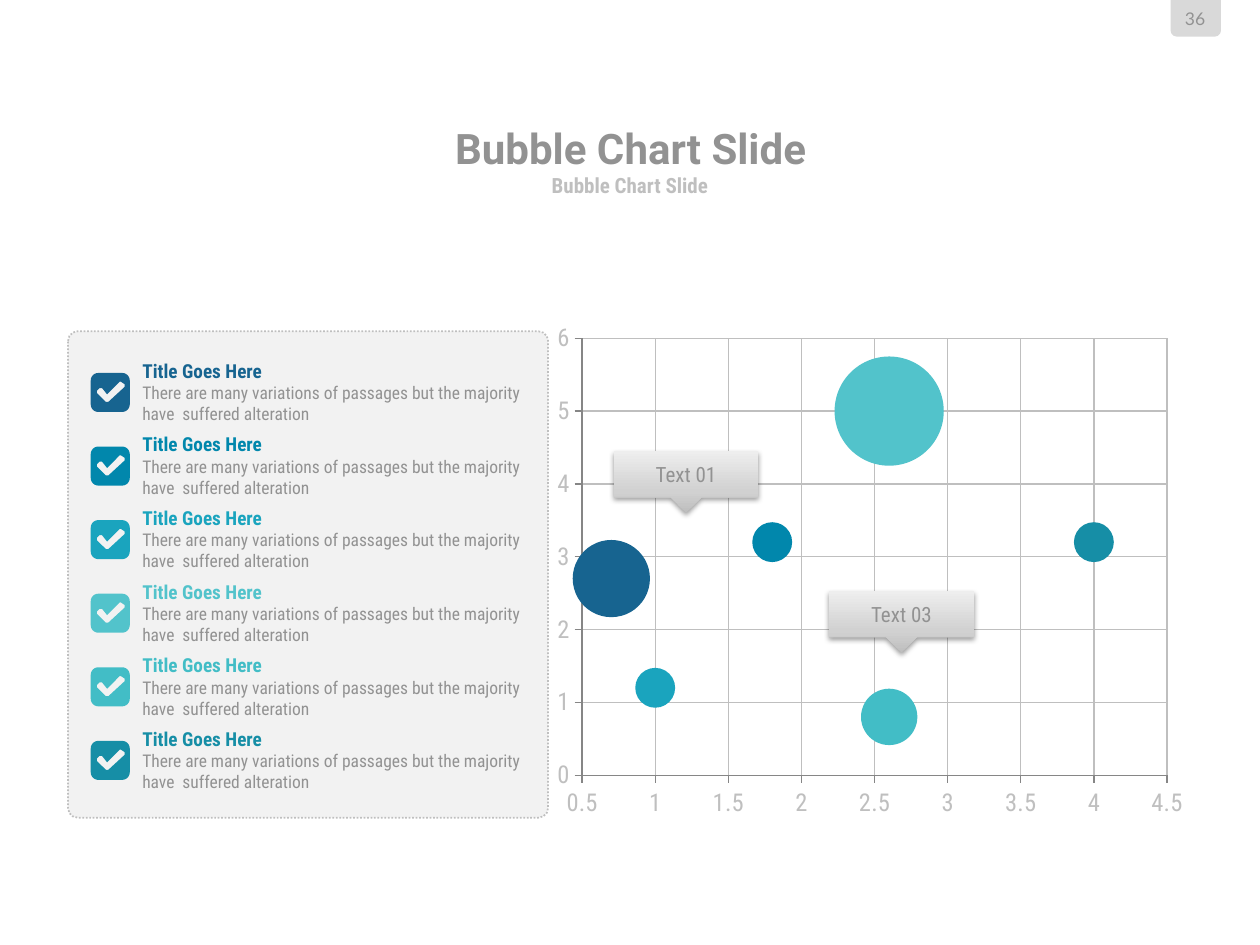
from copy import deepcopy
from math import cos, radians, sin

from lxml import etree
from pptx import Presentation
from pptx.chart.data import BubbleChartData
from pptx.dml.color import RGBColor
from pptx.enum.chart import XL_CHART_TYPE, XL_TICK_MARK
from pptx.enum.dml import MSO_LINE
from pptx.enum.shapes import MSO_SHAPE
from pptx.enum.text import MSO_ANCHOR, MSO_AUTO_SIZE, PP_ALIGN
from pptx.oxml import parse_xml
from pptx.oxml.ns import nsdecls, qn
from pptx.util import Inches, Pt

BUBBLE = XL_CHART_TYPE.BUBBLE
OUTSIDE = XL_TICK_MARK.OUTSIDE
DOTTED = MSO_LINE.ROUND_DOT
ROUND = MSO_SHAPE.ROUNDED_RECTANGLE
TAB = MSO_SHAPE.ROUND_2_SAME_RECTANGLE
CALLOUT = MSO_SHAPE.DOWN_ARROW_CALLOUT
MIDDLE, TOP = MSO_ANCHOR.MIDDLE, MSO_ANCHOR.TOP
CENTER, LEFT = PP_ALIGN.CENTER, PP_ALIGN.LEFT
FIXED = MSO_AUTO_SIZE.NONE

GRAY = RGBColor(0x92, 0x92, 0x92)
SILVER = RGBColor(0xBF, 0xBF, 0xBF)
AXIS = RGBColor(0x86, 0x86, 0x86)
PALE = RGBColor(0xF2, 0xF2, 0xF2)
TAB_GRAY = RGBColor(0xD9, 0xD9, 0xD9)
SHADES = [(0, RGBColor(0xBE, 0xBE, 0xBE)),
          (0.35, RGBColor(0xD1, 0xD1, 0xD1)),
          (1, RGBColor(0xEE, 0xEE, 0xEE))]
NAVY = RGBColor(0x17, 0x64, 0x90)
BLUE = RGBColor(0x01, 0x87, 0xAC)
CYAN = RGBColor(0x1A, 0xA4, 0xBE)
AQUA = RGBColor(0x52, 0xC3, 0xCB)
MINT = RGBColor(0x42, 0xBD, 0xC6)
TEAL = RGBColor(0x16, 0x8E, 0xA6)
CONDENSED = "Roboto Condensed"


def write(frame, text, size, color=GRAY, font=CONDENSED, bold=False, align=CENTER):
    """Add a run to the first paragraph of the frame."""
    para = frame.paragraphs[0]
    para.alignment = align
    para.space_before = Pt(0)
    run = para.add_run()
    run.text = text
    run.font.size = Pt(size)
    run.font.name = font
    run.font.bold = bold
    run.font.color.rgb = color


def trim(frame, anchor=MIDDLE, wrap=True):
    """Remove the margins and set how the text sits."""
    frame.margin_left = frame.margin_right = 0
    frame.margin_top = frame.margin_bottom = 0
    frame.auto_size = FIXED
    frame.vertical_anchor = anchor
    frame.word_wrap = wrap


prs = Presentation()
prs.slide_width, prs.slide_height = Inches(10), Inches(7.5)
slide = prs.slides.add_slide(prs.slide_layouts[1])
shapes = slide.shapes

# Page number
tab = shapes.add_shape(TAB, Inches(9.29), 0, Inches(0.4), Inches(0.29))
tab.rotation = 180
tab.shadow.inherit = False
tab.fill.solid()
tab.fill.fore_color.rgb = TAB_GRAY
tab.line.fill.background()
page = shapes.add_textbox(Inches(9.32), Inches(0.06), Inches(0.33), Inches(0.17))
trim(page.text_frame)
write(page.text_frame, "36", 10, font="Lato")

# Headings
title, body = shapes.title, slide.placeholders[1]
for holder, left, top, width, height in [(title, 1.92, 0.98, 6.17, 0.39),
                                         (body, 2.75, 1.36, 4.5, 0.22)]:
    holder.left, holder.top = Inches(left), Inches(top)
    holder.width, holder.height = Inches(width), Inches(height)
    trim(holder.text_frame, wrap=False)
props = body.text_frame.paragraphs[0]._p.get_or_add_pPr()
props.set("marL", "0")
props.set("indent", "0")
etree.SubElement(props, qn("a:buNone"))
write(title.text_frame, "Bubble Chart Slide", 24, font="Roboto", bold=True)
write(body.text_frame, "Bubble Chart Slide", 12, SILVER, bold=True)

# Bubble chart
data = BubbleChartData()
series = data.add_series("Series 1")
bubbles = [(0.7, 2.7, 15, NAVY), (1.8, 3.2, 4, BLUE), (2.6, 0.8, 8, MINT),
           (2.6, 5, 30, AQUA), (4, 3.2, 4, TEAL), (1, 1.2, 4, CYAN)]
for x, y, size, color in bubbles:
    series.add_data_point(x, y, size)
chart = shapes.add_chart(BUBBLE, Inches(4.32), Inches(2.48),
                         Inches(5.17), Inches(4.1), data).chart
chart.has_legend = chart.has_title = False
chart.font.size, chart.font.name = Pt(14), CONDENSED
chart.font.color.rgb = SILVER
drawn = chart.plots[0].series[0]
drawn.format.fill.solid()
drawn.format.fill.fore_color.rgb = NAVY
for i, bubble in enumerate(bubbles):
    look = drawn.points[i].format
    look.fill.solid()
    look.fill.fore_color.rgb = bubble[3]
    look.line.fill.background()
for axis, low, high, unit in [(chart.category_axis, 0.5, 4.5, 0.5),
                              (chart.value_axis, 0, 6, 1)]:
    axis.minimum_scale, axis.maximum_scale, axis.major_unit = low, high, unit
    axis.major_tick_mark = OUTSIDE
    axis.has_major_gridlines = True
    axis.tick_labels.number_format = "General"
    axis.tick_labels.number_format_is_linked = False
    for line, color in [(axis.format.line, AXIS),
                        (axis.major_gridlines.format.line, SILVER)]:
        line.color.rgb = color
        line.width = Pt(0.75)
area = chart._chartSpace.chart.plotArea
for old in area.findall(qn("c:layout")):
    area.remove(old)
area.insert(0, parse_xml(
    f'<c:layout {nsdecls("c")}><c:manualLayout><c:layoutTarget val="inner"/>'
    '<c:xMode val="edge"/><c:yMode val="edge"/><c:x val="0.058"/><c:y val="0.05"/>'
    '<c:w val="0.898"/><c:h val="0.846"/></c:manualLayout></c:layout>'))

# Callouts over the chart
for left, top, label in [(4.87, 3.58, "Text 01"), (6.58, 4.69, "Text 03")]:
    box = shapes.add_shape(CALLOUT, Inches(left), Inches(top), Inches(1.15), Inches(0.49))
    for i, value in enumerate([0.25, 0.25, 0.25, 0.75]):
        box.adjustments[i] = value
    box.line.fill.background()
    box.fill.gradient()
    box.fill.gradient_angle = 90
    stops = box.element.spPr.find(".//" + qn("a:gsLst"))
    stops.insert(1, deepcopy(stops[0]))
    for stop, (place, color) in zip(box.fill.gradient_stops, SHADES):
        stop.position = place
        stop.color.rgb = color
    box.shadow.inherit = False
    box.element.spPr.find(qn("a:effectLst")).append(parse_xml(
        f'<a:outerShdw {nsdecls("a")} blurRad="39370" dist="20320" dir="5400000" '
        'rotWithShape="0"><a:srgbClr val="000000"><a:alpha val="38000"/>'
        '</a:srgbClr></a:outerShdw>'))
    box.text_frame.vertical_anchor = MIDDLE
    write(box.text_frame, label, 12)

# Checklist panel
panel = shapes.add_shape(ROUND, Inches(0.54), Inches(2.63), Inches(3.81), Inches(3.86))
panel.adjustments[0] = 0.02
panel.shadow.inherit = False
panel.fill.solid()
panel.fill.fore_color.rgb = PALE
panel.line.color.rgb = SILVER
panel.line.width = Pt(1)
panel.line.dash_style = DOTTED

SIDE, CURVE, PITCH = 0.31, 0.06, 0.584
edge = []
for turn, (x, y) in enumerate([(1, 1), (0, 1), (0, 0), (1, 0)]):
    for step in range(7):
        angle = radians(90 * turn + 15 * step)
        edge.append((CURVE + x * (SIDE - 2 * CURVE) + CURVE * cos(angle),
                     CURVE + y * (SIDE - 2 * CURVE) + CURVE * sin(angle)))
tick = [(0.27, 0.11), (0.27, 0.09), (0.24, 0.07), (0.23, 0.07), (0.13, 0.17), (0.09, 0.12),
        (0.07, 0.12), (0.05, 0.14), (0.05, 0.16), (0.12, 0.23), (0.14, 0.23)]

for row, color in enumerate([NAVY, BLUE, CYAN, AQUA, MINT, TEAL]):
    top = 2.96 + row * PITCH
    outer, inner = [[(Inches(0.72 + x), Inches(top + y)) for x, y in points]
                    for points in (edge, tick)]
    pen = shapes.build_freeform(*outer[0])
    pen.add_line_segments(outer[1:], close=True)
    pen.move_to(*inner[0])
    pen.add_line_segments(inner[1:], close=True)
    check = pen.convert_to_shape()
    check.shadow.inherit = False
    check.fill.solid()
    check.fill.fore_color.rgb = color
    check.line.fill.background()

    item = shapes.add_textbox(Inches(1.13), Inches(top - 0.11), Inches(3), Inches(0.52))
    frame = item.text_frame
    trim(frame, TOP)
    write(frame, "Title Goes Here", 11, color, bold=True, align=LEFT)
    frame.paragraphs[0].add_line_break()
    write(frame, "There are many variations of passages but the majority have  suffered alteration",
          10, align=LEFT)

prs.save("out.pptx")
